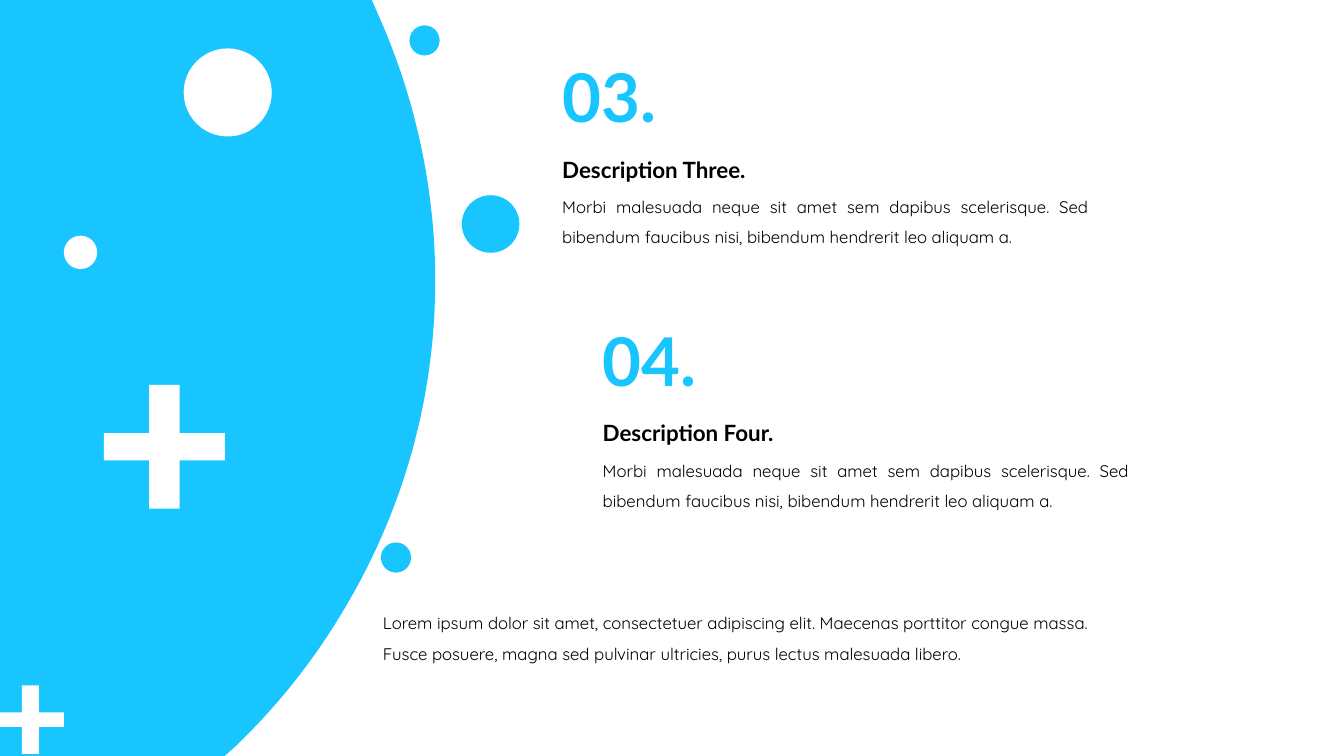
from pptx import Presentation
from pptx.dml.color import RGBColor
from pptx.enum.shapes import MSO_SHAPE
from pptx.enum.text import MSO_ANCHOR, MSO_AUTO_SIZE, PP_ALIGN
from pptx.util import Cm, Pt

OVAL = MSO_SHAPE.OVAL
LEFT, JUSTIFY = PP_ALIGN.LEFT, PP_ALIGN.JUSTIFY
TOP, MIDDLE = MSO_ANCHOR.TOP, MSO_ANCHOR.MIDDLE
FIT_TEXT = MSO_AUTO_SIZE.SHAPE_TO_FIT_TEXT
BLUE = RGBColor(0x19, 0xC5, 0xFF)
WHITE = RGBColor(0xFF, 0xFF, 0xFF)
BLACK = RGBColor(0x00, 0x00, 0x00)

NUMBER = {"name": "Lato", "size": Pt(48), "bold": True}
HEADING = {"name": "Lato", "size": Pt(16), "bold": True}
BODY = {"name": "Quicksand", "size": Pt(12), "bold": False}

DETAIL = ("Morbi malesuada neque sit amet sem dapibus scelerisque. Sed "
          "bibendum faucibus nisi, bibendum hendrerit leo aliquam a.")
SUMMARY = ("Lorem ipsum dolor sit amet, consectetuer adipiscing elit. "
           "Maecenas porttitor congue massa. Fusce posuere, magna sed "
           "pulvinar ultricies, purus lectus malesuada libero.")

# Left, top, diameter, colour
CIRCLES = [
    (10.32, 0.64, 0.76, BLUE),
    (11.64, 4.92, 1.45, BLUE),
    (9.6, 13.67, 0.76, BLUE),
    (4.63, 1.22, 2.22, WHITE),
    (1.61, 5.94, 0.84, WHITE),
]
# Left, top, width, height, upright bar width, level bar height
CROSSES = [
    (-0.08, 17.27, 1.69, 1.73, 0.43, 0.37),
    (2.62, 9.7, 3.05, 3.12, 0.77, 0.69),
]
# Left, top, number, heading
ITEMS = [
    (13.92, 1.27, "03.", "Description Three."),
    (14.94, 7.91, "04.", "Description Four."),
]


def paint(shape, color):
    shape.shadow.inherit = False
    shape.fill.solid()
    shape.fill.fore_color.rgb = color
    shape.line.fill.background()


def add_outline(s, points, color):
    corners = [(Cm(x), Cm(y)) for x, y in points]
    builder = s.shapes.build_freeform(*corners[0], scale=1.0)
    builder.add_line_segments(corners[1:], close=True)
    paint(builder.convert_to_shape(), color)


def curve(p0, p1, p2, p3, steps=40):
    """Points along a cubic curve, without its start."""
    points = []
    for i in range(1, steps + 1):
        t = i / steps
        u = 1 - t
        weights = (u ** 3, 3 * u * u * t, 3 * u * t * t, t ** 3)
        points.append(tuple(sum(w * p[axis] for w, p in zip(weights, (p0, p1, p2, p3)))
                            for axis in (0, 1)))
    return points


def add_panel(s, height):
    start, bend, end = (9.55, 0.41), (8.71, 15.29), (5.89, 18.85)
    points = [(0, 0), (9.37, 0), start]
    points += curve(start, (11.61, 5.05), (11.51, 10.57), bend)
    points += curve(bend, (7.92, 16.64), (6.96, 17.83), end)
    points += [(5.66, height), (0, height)]
    add_outline(s, points, BLUE)


def add_cross(s, x, y, w, h, bar_w, bar_h):
    x1, x2 = x + (w - bar_w) / 2, x + (w + bar_w) / 2
    y1, y2 = y + (h - bar_h) / 2, y + (h + bar_h) / 2
    right, bottom = x + w, y + h
    add_outline(s, [(x1, y), (x2, y), (x2, y1), (right, y1), (right, y2), (x2, y2),
                    (x2, bottom), (x1, bottom), (x1, y2), (x, y2), (x, y1), (x1, y1)],
                WHITE)


def add_text(s, box, text, style, color=BLACK, spacing=1.5, align=LEFT, anchor=TOP):
    tf = s.shapes.add_textbox(*map(Cm, box)).text_frame
    tf.word_wrap = True
    tf.auto_size = FIT_TEXT
    tf.vertical_anchor = anchor
    p = tf.paragraphs[0]
    p.alignment = align
    p.line_spacing = spacing
    r = p.add_run()
    r.text = text
    for key, value in style.items():
        setattr(r.font, key, value)
    r.font.color.rgb = color


def add_item(s, x, y, number, heading):
    add_text(s, (x, y, 3.6, 2.31), number, NUMBER, color=BLUE, spacing=1.0)
    add_text(s, (x, y + 2.2, 7.98, 1.14), heading, HEADING)
    add_text(s, (x, y + 3.31, 13.77, 1.8), DETAIL, BODY, align=JUSTIFY)


def add_decoration(s):
    for x, y, size, color in CIRCLES:
        circle = s.shapes.add_shape(OVAL, Cm(x), Cm(y), Cm(size), Cm(size))
        paint(circle, color)
    for cross in CROSSES:
        add_cross(s, *cross)


def main():
    prs = Presentation()
    prs.slide_width, prs.slide_height = Cm(33.87), Cm(19.05)
    s = prs.slides.add_slide(prs.slide_layouts[6])

    # Curved panel on the left
    add_panel(s, 19.05)
    # Numbered descriptions and closing text
    for item in ITEMS:
        add_item(s, *item)
    add_text(s, (9.4, 15.06, 19.3, 1.8), SUMMARY, BODY, anchor=MIDDLE)
    # Circles and crosses
    add_decoration(s)

    prs.save("out.pptx")


if __name__ == "__main__":
    main()
